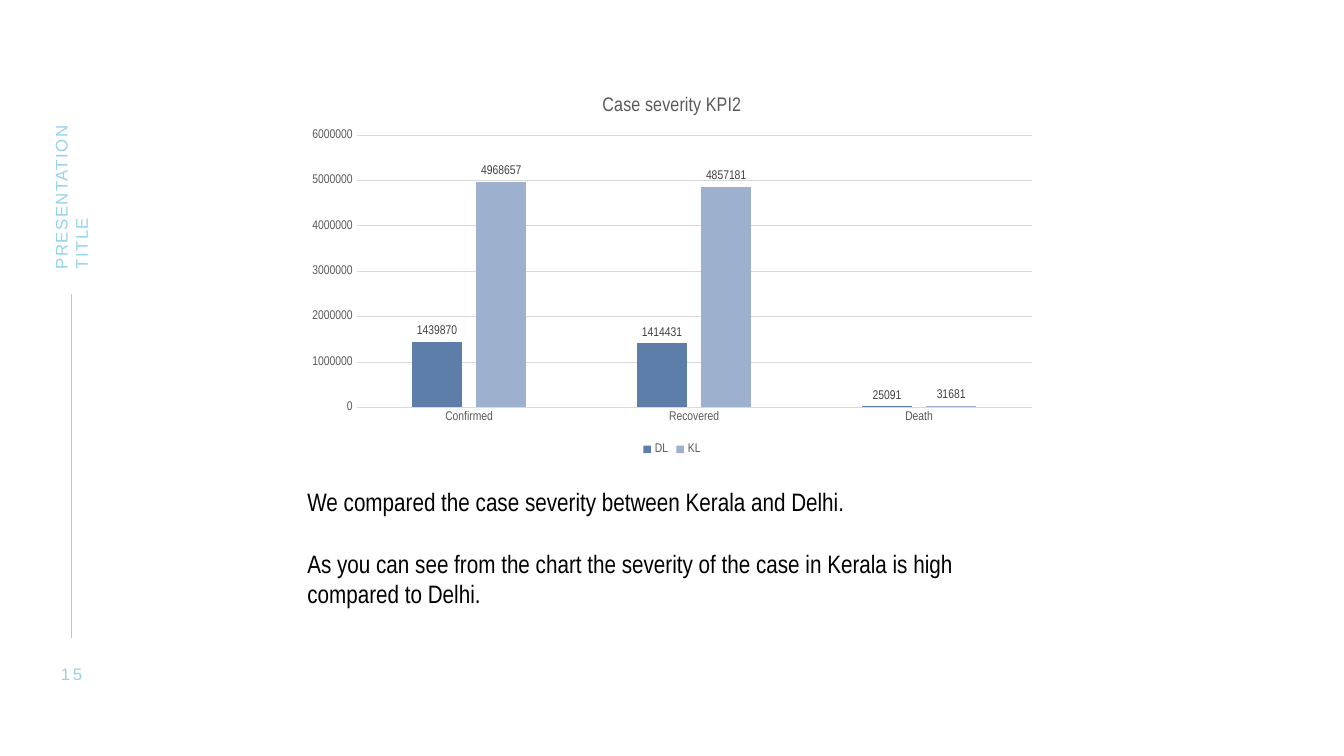
from pptx import Presentation
from pptx.chart.data import CategoryChartData
from pptx.dml.color import RGBColor
from pptx.enum.chart import XL_CHART_TYPE, XL_LABEL_POSITION, XL_LEGEND_POSITION, XL_TICK_MARK
from pptx.enum.shapes import MSO_CONNECTOR
from pptx.enum.text import MSO_ANCHOR, PP_ALIGN
from pptx.oxml.ns import qn
from pptx.util import Inches, Pt
from lxml.etree import SubElement

COLORS = {
    "accent": "96D3ED",
    "grid": "D9D9D9",
    "chart_text": "595959",
    "label": "404040",
    "body": "000000",
    "DL": "5C7EA8",
    "KL": "9DB1CF",
}
CATEGORIES = ["Confirmed", "Recovered", "Death"]
CASES = {
    "DL": [1439870, 1414431, 25091],
    "KL": [4968657, 4857181, 31681],
}
COMMENTS = [
    "We compared the case severity between Kerala and Delhi.",
    "As you can see from the chart the severity of the case in Kerala is high compared to Delhi.",
]


def color(name):
    return RGBColor.from_string(COLORS[name])


def style_font(font, size, color_name, typeface="Arial Narrow"):
    font.size = Pt(size)
    font.bold = False
    font.name = typeface
    font.color.rgb = color(color_name)


def add_text_box(slide, left, top, width, height):
    shape = slide.shapes.add_textbox(Inches(left), Inches(top), Inches(width), Inches(height))
    shape.text_frame.word_wrap = True
    return shape


def add_margin_text(slide, text, left, top, width, height, spacing, alignment, rotation=0):
    shape = add_text_box(slide, left, top, width, height)
    shape.rotation = rotation
    frame = shape.text_frame
    frame.margin_left = frame.margin_right = frame.margin_top = frame.margin_bottom = 0
    frame.vertical_anchor = MSO_ANCHOR.MIDDLE
    frame.text = text
    paragraph = frame.paragraphs[0]
    paragraph.alignment = alignment
    font = paragraph.runs[0].font
    style_font(font, 12, "accent", "Arial")
    paragraph.runs[0]._r.get_or_add_rPr().set("spc", str(spacing * 100))


def add_margin_line(slide, x, top, bottom):
    line = slide.shapes.add_connector(
        MSO_CONNECTOR.STRAIGHT, Inches(x), Inches(top), Inches(x), Inches(bottom)
    )
    line.line.color.rgb = color("accent")
    line.line.width = Pt(1)
    SubElement(line._element.spPr, qn("a:effectLst"))


def style_axis(axis):
    axis.major_tick_mark = axis.minor_tick_mark = XL_TICK_MARK.NONE
    style_font(axis.tick_labels.font, 9, "chart_text")


def style_line(line):
    line.color.rgb = color("grid")
    line.width = Pt(0.75)


def style_series(series):
    series.format.fill.solid()
    series.format.fill.fore_color.rgb = color(series.name)
    labels = series.data_labels
    labels.show_value = True
    labels.position = XL_LABEL_POSITION.OUTSIDE_END
    style_font(labels.font, 9, "label")


def add_case_chart(slide, left, top, width, height):
    data = CategoryChartData()
    data.categories = CATEGORIES
    for name, values in CASES.items():
        data.add_series(name, values)
    chart = slide.shapes.add_chart(
        XL_CHART_TYPE.COLUMN_CLUSTERED,
        Inches(left), Inches(top), Inches(width), Inches(height), data,
    ).chart
    style_font(chart.font, 10, "body")

    chart.has_title = True
    chart.chart_title.include_in_layout = False
    title = chart.chart_title.text_frame
    title.text = "Case severity KPI2"
    style_font(title.paragraphs[0].runs[0].font, 14, "chart_text")

    chart.has_legend = True
    chart.legend.position = XL_LEGEND_POSITION.BOTTOM
    chart.legend.include_in_layout = False
    style_font(chart.legend.font, 9, "chart_text")

    style_axis(chart.category_axis)
    style_line(chart.category_axis.format.line)
    style_axis(chart.value_axis)
    chart.value_axis.format.line.fill.background()
    style_line(chart.value_axis.major_gridlines.format.line)

    plot = chart.plots[0]
    plot.vary_by_categories = False
    plot.gap_width = 219
    plot.overlap = -27
    for series in plot.series:
        style_series(series)


def add_comments(slide, left, top, width, height):
    frame = add_text_box(slide, left, top, width, height).text_frame
    frame.text = "\n".join(COMMENTS)
    for paragraph in frame.paragraphs:
        style_font(paragraph.runs[0].font, 18, "body")
    frame.paragraphs[0].space_after = Pt(22)


def main():
    presentation = Presentation()
    presentation.slide_width = Inches(13.33)
    presentation.slide_height = Inches(7.5)
    slide = presentation.slides.add_slide(presentation.slide_layouts[6])

    add_margin_line(slide, 0.71, 2.92, 6.33)
    add_margin_text(slide, "15", 0.46, 6.58, 0.5, 0.2, 2, PP_ALIGN.CENTER)
    add_margin_text(
        slide, "PRESENTATION TITLE", -0.27, 1.59, 1.95, 0.21, 1, PP_ALIGN.LEFT, rotation=270
    )
    add_case_chart(slide, 2.95, 0.77, 7.43, 3.79)
    add_comments(slide, 2.95, 4.78, 6.66, 1.31)

    presentation.save("out.pptx")


if __name__ == "__main__":
    main()
